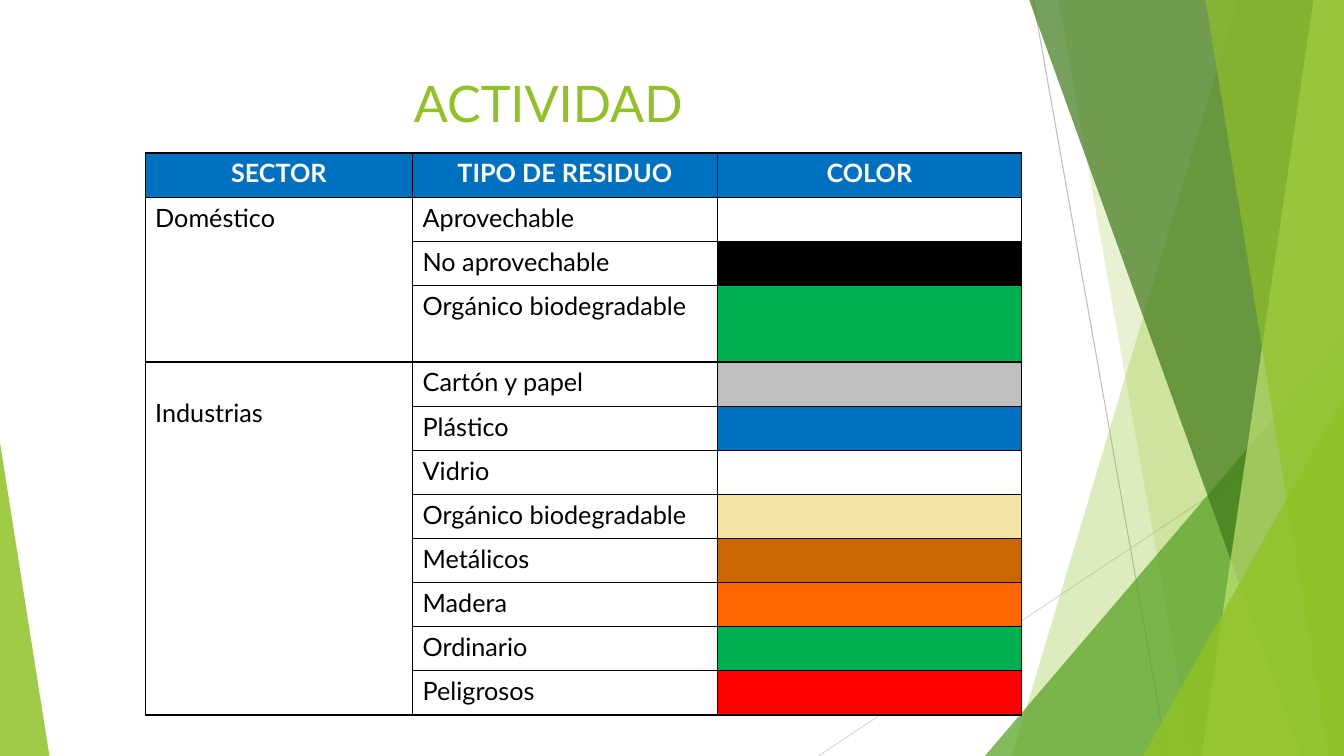
"""Build a slide that matches waste types to container colours by sector."""
from dataclasses import dataclass
from typing import Optional

from lxml.etree import SubElement
from pptx import Presentation
from pptx.dml.color import RGBColor
from pptx.enum.shapes import MSO_CONNECTOR, MSO_SHAPE
from pptx.enum.text import MSO_ANCHOR, PP_ALIGN
from pptx.oxml.ns import qn
from pptx.util import Emu, Inches, Pt

WIDTH, HEIGHT = Inches(13.33), Inches(7.5)


@dataclass(frozen=True)
class Theme:
    font: str = "Lato"
    title_size: int = 36
    cell_size: int = 18
    border_width: float = 1
    ray_width: float = 0.75
    lime: str = "90C226"
    pale_lime: str = "C0E474"
    leaf: str = "54A021"
    forest: str = "3F7819"
    white: str = "FFFFFF"
    black: str = "000000"
    blue: str = "0070C0"
    green: str = "00B050"
    grey: str = "BFBFBF"
    light_grey: str = "D9D9D9"
    cream: str = "F5E3A5"
    copper: str = "CC6600"
    orange: str = "FF6600"
    red: str = "FF0000"


THEME = Theme()


@dataclass(frozen=True)
class Ray:
    start: tuple[float, float]
    end: tuple[float, float]
    color: str


@dataclass(frozen=True)
class Facet:
    """Panel reaching the right edge, with a slanted left side."""
    top_left: float
    bottom_left: float
    color: str
    opacity: int


@dataclass(frozen=True)
class Peak:
    """Right-angled triangle standing on the bottom edge."""
    left: float
    top: float
    width: float
    apex: float
    color: str
    opacity: int


@dataclass(frozen=True)
class Waste:
    name: str
    color: Optional[str]
    height: float = 5.84


@dataclass(frozen=True)
class Sector:
    name: str
    wastes: tuple[Waste, ...]
    margin_top: float = 0.05


RAYS = (
    Ray((76.88, 0), (86.85, 100), THEME.grey),
    Ray((100, 53.73), (60.9, 100), THEME.light_grey),
)
PANELS = (
    Facet(92.1, 75.3, THEME.lime, 30),
    Facet(78.75, 88.73, THEME.lime, 20),
    Peak(73.28, 44.4, 26.72, 1, THEME.leaf, 72),
    Facet(76.58, 96.83, THEME.forest, 70),
    Facet(97.73, 89.4, THEME.pale_lime, 70),
    Facet(89.7, 98.85, THEME.lime, 65),
    Peak(85.05, 52.4, 14.95, 1, THEME.lime, 80),
    Peak(0, 58.53, 3.68, 0, THEME.lime, 85),
)
HEADINGS = ("SECTOR", "TIPO DE RESIDUO", "COLOR")
COLUMN_WIDTHS = (19.9, 22.66, 22.66)
HEADER_HEIGHT = 5.84
SECTORS = (
    Sector("Doméstico", (
        Waste("Aprovechable", THEME.white),
        Waste("No aprovechable", THEME.black),
        Waste("Orgánico biodegradable", THEME.green, 10.13),
    )),
    Sector("Industrias", (
        Waste("Cartón y papel", THEME.grey),
        Waste("Plástico", THEME.blue),
        Waste("Vidrio", None),
        Waste("Orgánico biodegradable", THEME.cream),
        Waste("Metálicos", THEME.copper),
        Waste("Madera", THEME.orange),
        Waste("Ordinario", THEME.green),
        Waste("Peligrosos", THEME.red),
    ), 0.35),
)


def across(share: float) -> Emu:
    return Emu(round(WIDTH * share / 100))


def down(share: float) -> Emu:
    return Emu(round(HEIGHT * share / 100))


def rgb(color: str) -> RGBColor:
    return RGBColor.from_string(color)


def write(frame, text: str, size: int, color: str, centred: bool = False, bold: bool = False) -> None:
    frame.text = text
    para = frame.paragraphs[0]
    para.alignment = PP_ALIGN.CENTER if centred else PP_ALIGN.LEFT
    for span in para.runs:
        span.font.name = THEME.font
        span.font.size = Pt(size)
        span.font.bold = bold
        span.font.color.rgb = rgb(color)


def draw_ray(page, ray: Ray) -> None:
    line = page.shapes.add_connector(
        MSO_CONNECTOR.STRAIGHT, across(ray.start[0]), down(ray.start[1]),
        across(ray.end[0]), down(ray.end[1]))
    line.line.color.rgb = rgb(ray.color)
    line.line.width = Pt(THEME.ray_width)
    SubElement(line._element.spPr, qn("a:effectLst"))


def draw_panel(page, panel: Facet | Peak) -> None:
    if isinstance(panel, Facet):
        outline = page.shapes.build_freeform(across(panel.top_left), 0)
        outline.add_line_segments(
            [(WIDTH, 0), (WIDTH, HEIGHT), (across(panel.bottom_left), HEIGHT)], close=True)
        shape = outline.convert_to_shape()
    else:
        shape = page.shapes.add_shape(
            MSO_SHAPE.ISOSCELES_TRIANGLE, across(panel.left), down(panel.top),
            across(panel.width), down(100 - panel.top))
        shape.adjustments[0] = panel.apex
    shape.shadow.inherit = False
    shape.line.fill.background()
    shape.fill.solid()
    shape.fill.fore_color.rgb = rgb(panel.color)
    tint = shape._element.spPr.find(qn("a:solidFill")).find(qn("a:srgbClr"))
    SubElement(tint, qn("a:alpha"), val=str(panel.opacity * 1000))


def draw_title(page, text: str) -> None:
    box = page.shapes.add_textbox(across(5.55), down(8.93), across(70.5), down(19.2))
    box.text_frame.word_wrap = True
    box.text_frame.vertical_anchor = MSO_ANCHOR.TOP
    write(box.text_frame, text, THEME.title_size, THEME.lime, centred=True)


def style_cell(cell, color: Optional[str]) -> None:
    properties = cell._tc.get_or_add_tcPr()
    for side in ("lnL", "lnR", "lnT", "lnB"):
        border = SubElement(properties, qn(f"a:{side}"), w=str(Pt(THEME.border_width)))
        SubElement(SubElement(border, qn("a:solidFill")), qn("a:srgbClr"), val=THEME.black)
    if color:
        cell.fill.solid()
        cell.fill.fore_color.rgb = rgb(color)
    else:
        cell.fill.background()


def draw_table(page) -> None:
    wastes = [waste for sector in SECTORS for waste in sector.wastes]
    heights = [HEADER_HEIGHT] + [waste.height for waste in wastes]
    table = page.shapes.add_table(
        len(heights), len(HEADINGS), across(10.8), down(20.24),
        across(sum(COLUMN_WIDTHS)), down(sum(heights))).table
    table.first_row = table.horz_banding = False
    for column, width in zip(table.columns, COLUMN_WIDTHS):
        column.width = across(width)
    for row, height in zip(table.rows, heights):
        row.height = down(height)
    for index, heading in enumerate(HEADINGS):
        style_cell(table.cell(0, index), THEME.blue)
        write(table.cell(0, index).text_frame, heading, THEME.cell_size, THEME.white, True, True)
    for index, waste in enumerate(wastes, start=1):
        for column, color in enumerate((None, None, waste.color)):
            style_cell(table.cell(index, column), color)
        write(table.cell(index, 1).text_frame, waste.name, THEME.cell_size, THEME.black)
    first = 1
    for sector in SECTORS:
        cell = table.cell(first, 0)
        first += len(sector.wastes)
        cell.merge(table.cell(first - 1, 0))
        cell.margin_top = Inches(sector.margin_top)
        write(cell.text_frame, sector.name, THEME.cell_size, THEME.black)


def main() -> None:
    deck = Presentation()
    deck.slide_width, deck.slide_height = WIDTH, HEIGHT
    page = deck.slides.add_slide(deck.slide_layouts[6])
    for ray in RAYS:
        draw_ray(page, ray)
    for panel in PANELS:
        draw_panel(page, panel)
    draw_title(page, "ACTIVIDAD")
    draw_table(page)
    deck.save("out.pptx")


if __name__ == "__main__":
    main()
